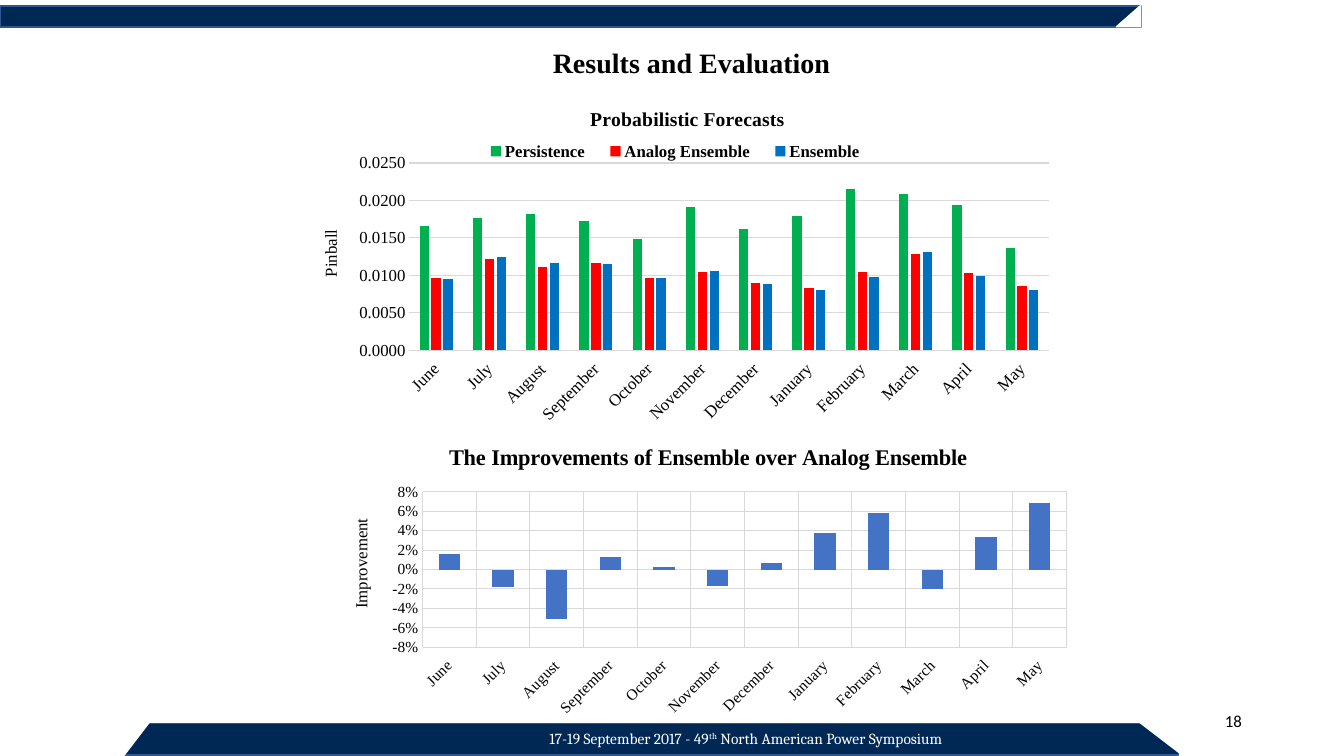
from dataclasses import dataclass

from lxml import etree
from pptx import Presentation
from pptx.chart.data import CategoryChartData
from pptx.dml.color import RGBColor
from pptx.enum.chart import XL_CHART_TYPE, XL_LEGEND_POSITION, XL_TICK_LABEL_POSITION, XL_TICK_MARK
from pptx.enum.shapes import MSO_SHAPE
from pptx.enum.text import MSO_ANCHOR, PP_ALIGN
from pptx.oxml.ns import qn
from pptx.util import Inches, Pt

RECT, TRIANGLE = MSO_SHAPE.RECTANGLE, MSO_SHAPE.RIGHT_TRIANGLE
CENTER, RIGHT, MIDDLE = PP_ALIGN.CENTER, PP_ALIGN.RIGHT, MSO_ANCHOR.MIDDLE
COLUMNS, NO_TICK = XL_CHART_TYPE.COLUMN_CLUSTERED, XL_TICK_MARK.NONE
LOW, BOTTOM = XL_TICK_LABEL_POSITION.LOW, XL_LEGEND_POSITION.BOTTOM

WIDTH, HEIGHT = Inches(13.33), Inches(7.5)
SERIF = "Times New Roman"
NAVY, EDGE, WHITE, BLACK, GRID = "002855", "325491", "FFFFFF", "000000", "D9D9D9"
MONTHS = ["June", "July", "August", "September", "October", "November",
          "December", "January", "February", "March", "April", "May"]


@dataclass
class Box:
    """Frame in percent of the slide's width and height."""
    x: float
    y: float
    w: float
    h: float

    def emu(self) -> tuple[int, ...]:
        """Return left, top, width and height in EMU."""
        shares = zip((self.x, self.y, self.w, self.h), (WIDTH, HEIGHT) * 2)
        return tuple(int(share * full / 100) for share, full in shares)


@dataclass
class Band:
    """One piece of the header or footer band."""
    box: Box
    kind: int = TRIANGLE
    fill: str = WHITE
    line: str | None = None
    rotation: int = 0


@dataclass
class Series:
    """Named column values and their colour."""
    name: str
    color: str
    values: list[float]


@dataclass
class ColumnChart:
    """Content and layout of a chart; layouts are shares of its frame."""
    box: Box
    title: str
    title_size: float
    title_at: tuple
    axis_title: str
    axis_at: tuple
    size: int
    scale: tuple
    number_format: str
    plot: tuple
    gap: int
    overlap: int
    series: list[Series]
    legend: tuple | None = None
    month_grid: bool = False


BANDS = [
    Band(Box(9.23, 95.73, 78.45, 4.13), RECT, NAVY, EDGE),
    Band(Box(84.75, 95.6, 3.23, 4.4), rotation=180),
    Band(Box(0, 0.8, 84.9, 2.8), RECT, NAVY, EDGE),
    Band(Box(83.18, 0.53, 1.58, 3.2), line=WHITE, rotation=270),
    Band(Box(8.7, 95.33, 3.23, 4.4), rotation=90),
]
CHARTS = [
    ColumnChart(
        Box(24.75, 56.53, 55.73, 38.8),
        "The Improvements of Ensemble over Analog Ensemble", 16, (0.15, 0.04),
        "Improvement", (0.02, 0.3), 11, (-0.08, 0.08, 0.02), "0%",
        (0.12, 0.22, 0.86, 0.53), 150, 0,
        [Series("Series 1", "4472C4", [0.016, -0.018, -0.051, 0.013, 0.003, -0.017,
                                       0.007, 0.038, 0.058, -0.02, 0.034, 0.068])],
        month_grid=True),
    ColumnChart(
        Box(21.3, 12.27, 57.3, 44.27),
        "Probabilistic Forecasts", 14, (0.39, 0.03),
        "Pinball", (0.04, 0.4), 12, (0, 0.025, 0.005), "0.0000",
        (0.16, 0.21, 0.83, 0.56), 219, -27,
        [Series("Persistence", "00B050", [0.0166, 0.0176, 0.0182, 0.0173, 0.0149, 0.0191,
                                          0.0162, 0.0179, 0.0215, 0.0208, 0.0194, 0.0137]),
         Series("Analog Ensemble", "FF0000", [0.0097, 0.0122, 0.0111, 0.0116, 0.0096, 0.0104,
                                              0.009, 0.0083, 0.0104, 0.0128, 0.0103, 0.0086]),
         Series("Ensemble", "0070C0", [0.0095, 0.0124, 0.0117, 0.0115, 0.0096, 0.0106,
                                       0.0089, 0.008, 0.0098, 0.0131, 0.0099, 0.008])],
        legend=(0.24, 0.13, 0.53, 0.09)),
]


def rgb(color: str) -> RGBColor:
    """Turn a hex string into a colour."""
    return RGBColor.from_string(color)


def style(font, size: float, name: str = SERIF, color: str = BLACK, bold: bool = False) -> None:
    """Format a font."""
    for key, value in {"size": Pt(size), "name": name, "bold": bold}.items():
        setattr(font, key, value)
    font.color.rgb = rgb(color)


def set_line(line, color: str | None, width: float = 0.75) -> None:
    """Colour a line, or hide it when there is no colour."""
    if color is None:
        line.fill.background()
    else:
        line.color.rgb, line.width = rgb(color), Pt(width)


def add_band(s, band: Band) -> None:
    """Draw one piece of the bands."""
    sp = s.shapes.add_shape(band.kind, *band.box.emu())
    sp.shadow.inherit, sp.rotation = False, band.rotation
    sp.fill.solid()
    sp.fill.fore_color.rgb = rgb(band.fill)
    set_line(sp.line, band.line, 1)


def write(sp, box: Box, texts: list[str], align: int, **font) -> list:
    """Place a text shape, write its runs and return them."""
    sp.left, sp.top, sp.width, sp.height = box.emu()
    tf = sp.text_frame
    tf.word_wrap, tf.vertical_anchor = True, MIDDLE
    p = tf.paragraphs[0]
    p.alignment = align
    for text in texts:
        r = p.add_run()
        r.text = text
        style(r.font, **font)
    return list(p.runs)


def place(element, index: int, shares: tuple, inner: bool = False) -> None:
    """Give a chart part a manual layout as its child at index."""
    for old in element.findall(qn("c:layout")):
        element.remove(old)
    layout = etree.Element(qn("c:layout"))
    manual = etree.SubElement(layout, qn("c:manualLayout"))
    settings = [("layoutTarget", "inner")] if inner else []
    settings += [("xMode", "edge"), ("yMode", "edge"), *zip("xywh", shares)]
    for tag, value in settings:
        etree.SubElement(manual, qn(f"c:{tag}")).set("val", str(value))
    element.insert(index, layout)


def write_title(title, text: str, size: float, at: tuple, bold: bool = False) -> None:
    """Write and place a chart or axis title."""
    r = title.text_frame.paragraphs[0].add_run()
    r.text = text
    style(r.font, size, bold=bold)
    place(title._element, 1, at)


def format_axis(axis, size: int, line: str | None, grid: bool) -> None:
    """Format an axis with its labels and grid lines."""
    axis.major_tick_mark = axis.minor_tick_mark = NO_TICK
    style(axis.tick_labels.font, size)
    set_line(axis.format.line, line)
    axis.has_major_gridlines = grid
    if grid:
        set_line(axis.major_gridlines.format.line, GRID)


def add_columns(s, spec: ColumnChart) -> None:
    """Draw a clustered column chart by month."""
    data = CategoryChartData(number_format=spec.number_format)
    data.categories = MONTHS
    for series in spec.series:
        data.add_series(series.name, series.values)
    chart = s.shapes.add_chart(COLUMNS, *spec.box.emu(), data).chart
    style(chart.font, spec.size)
    chart.has_title = True
    write_title(chart.chart_title, spec.title, spec.title_size, spec.title_at, True)
    place(chart._chartSpace.chart.plotArea, 0, spec.plot, True)

    plot = chart.plots[0]
    plot.gap_width, plot.overlap, plot.vary_by_categories = spec.gap, spec.overlap, False
    for drawn, series in zip(plot.series, spec.series):
        drawn.invert_if_negative = False
        drawn.format.fill.solid()
        drawn.format.fill.fore_color.rgb = rgb(series.color)

    months, values = chart.category_axis, chart.value_axis
    format_axis(months, spec.size, GRID, spec.month_grid)
    months.tick_label_position = LOW
    months._element.find(qn("c:txPr")).bodyPr.set("rot", "-2700000")
    format_axis(values, spec.size, None, True)
    values.minimum_scale, values.maximum_scale, values.major_unit = spec.scale
    values.tick_labels.number_format = spec.number_format
    values.tick_labels.number_format_is_linked = False
    write_title(values.axis_title, spec.axis_title, 12, spec.axis_at)
    values.axis_title.text_frame._txBody.bodyPr.set("rot", "-5400000")

    chart.has_legend = spec.legend is not None
    if spec.legend:
        chart.legend.position, chart.legend.include_in_layout = BOTTOM, False
        style(chart.legend.font, 12, bold=True)
        place(chart.legend._element, 1, spec.legend)


prs = Presentation()
prs.slide_width, prs.slide_height = WIDTH, HEIGHT
s = prs.slides.add_slide(prs.slide_layouts[5])
write(s.shapes.title, Box(32.03, 5.07, 38.85, 6.27), ["Results and Evaluation"], CENTER,
      size=20, bold=True)
for band in BANDS:
    add_band(s, band)
footer = Box(34.73, 95.73, 41.55, 3.87)
runs = write(s.shapes.add_textbox(*footer.emu()), footer,
             ["17-19 September 2017 - 49", "th", " North American Power Symposium"], CENTER,
             size=11, name="Cambria", color=WHITE)
runs[1].font._element.set("baseline", "30000")
for spec in CHARTS:
    add_columns(s, spec)
number = Box(70.65, 92.67, 22.5, 5.33)
write(s.shapes.add_textbox(*number.emu()), number, ["18"], RIGHT, size=12, name="Calibri")
prs.save("out.pptx")
